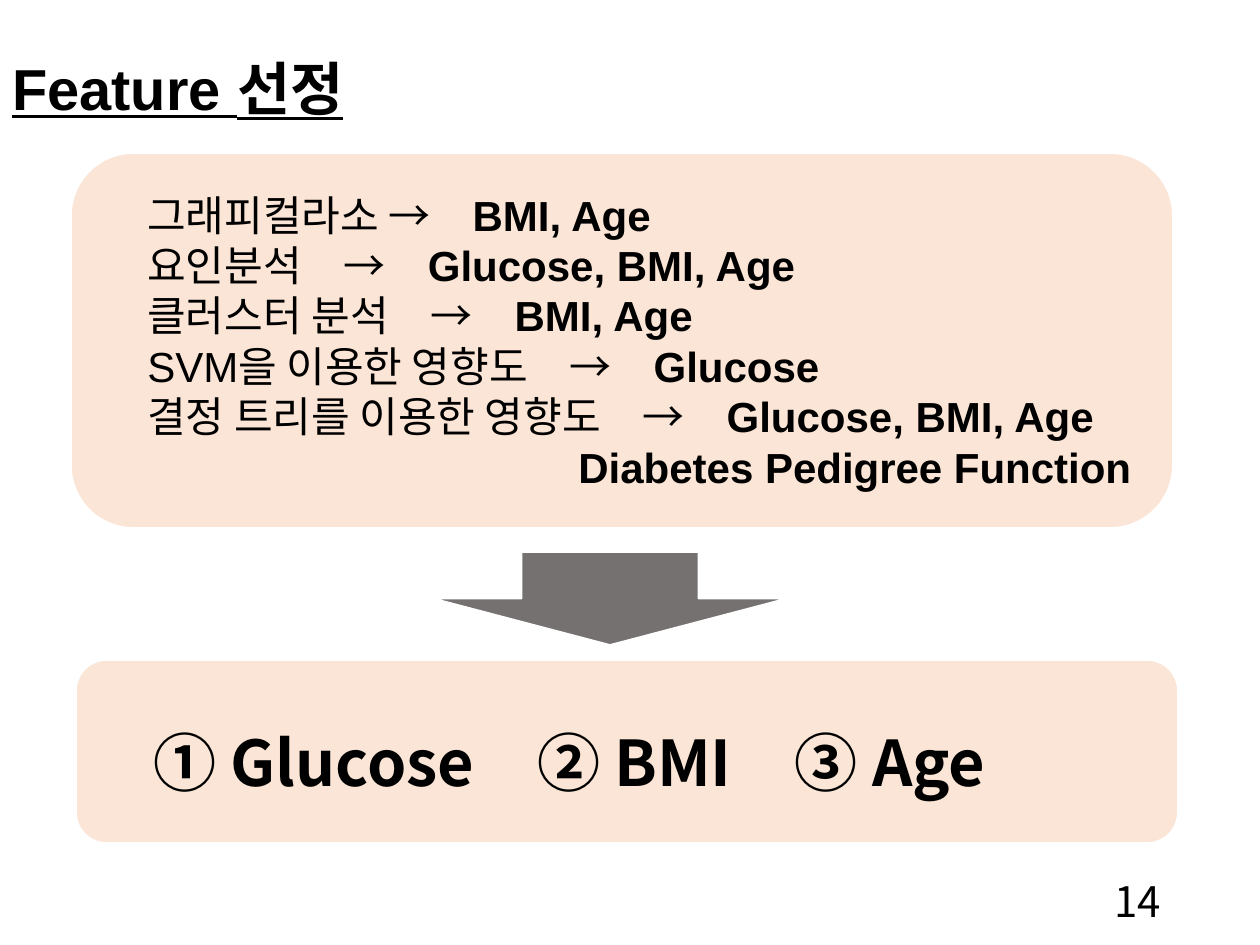
import pptx
import pptx.util
from pptx.dml.color import RGBColor
from pptx.enum.shapes import MSO_SHAPE
from pptx.enum.text import MSO_ANCHOR, PP_ALIGN
from pptx.oxml.ns import qn

PX = 914400 // 126
BLACK = RGBColor(0x00, 0x00, 0x00)
WHITE = RGBColor(0xFF, 0xFF, 0xFF)
PEACH = RGBColor(0xFB, 0xE5, 0xD6)
GRAY = RGBColor(0x76, 0x71, 0x71)
LATIN = "Arial"
CJK = "Noto Sans CJK JP"

TITLE = "Feature 선정"
METHODS = [
    ("그래피컬라소 →　", "BMI, Age"),
    ("요인분석　→　", "BMI, Age".join(["Glucose, ", ""])),
    ("클러스터 분석　→　", "BMI, Age"),
    ("SVM을 이용한 영향도　→　", "Glucose"),
    ("결정 트리를 이용한 영향도　→　", "Glucose, BMI, Age"),
    ("", "Diabetes Pedigree Function"),
]
METHODS[1] = ("요인분석　→　", "Glucose, BMI, Age")
CONTINUED_INDENT = 431
RANKING = "① Glucose　② BMI　③ Age"
PAGE = "14"


def add_block(shapes, kind, box, fill):
    sp = shapes.add_shape(kind, *(v * PX for v in box))
    sp.shadow.inherit = False
    sp.fill.solid()
    sp.fill.fore_color.rgb = fill
    sp.line.color.rgb = WHITE
    sp.line.width = pptx.util.Pt(1)


def add_frame(shapes, box, anchor=MSO_ANCHOR.TOP):
    tf = shapes.add_textbox(*(v * PX for v in box)).text_frame
    tf.word_wrap = True
    tf.vertical_anchor = anchor
    return tf


def add_run(p, text, size, font, bold=False):
    r = p.add_run()
    r.text = text
    r.font.size = pptx.util.Pt(size)
    r.font.name = font
    r.font.bold = bold
    r.font.color.rgb = BLACK
    ea = r.font._element.makeelement(qn("a:ea"), {"typeface": CJK})
    r.font._element.find(qn("a:latin")).addnext(ea)
    return r


def main():
    prs = pptx.Presentation()
    prs.slide_width = 1260 * PX
    prs.slide_height = 945 * PX
    s = prs.slides.add_slide(prs.slide_layouts[6])

    p = add_frame(s.shapes, (0, 0, 1086, 183), MSO_ANCHOR.MIDDLE).paragraphs[0]
    p.line_spacing = 0.9
    add_run(p, TITLE, 33, LATIN, True).font.underline = True

    p = add_frame(s.shapes, (890, 876, 283, 50), MSO_ANCHOR.MIDDLE).paragraphs[0]
    p.alignment = PP_ALIGN.RIGHT
    add_run(p, PAGE, 24, CJK)

    group = s.shapes.add_group_shape()
    add_block(group.shapes, MSO_SHAPE.ROUNDED_RECTANGLE, (71, 153, 1102, 375), PEACH)
    tf = add_frame(group.shapes, (135, 183, 1043, 407))
    for i, (method, features) in enumerate(METHODS):
        p = tf.add_paragraph() if i else tf.paragraphs[0]
        if method:
            add_run(p, method, 24, LATIN)
        else:
            p._p.get_or_add_pPr().set("marL", str(CONTINUED_INDENT * PX))
        add_run(p, features, 24, LATIN, True)

    add_block(s.shapes, MSO_SHAPE.DOWN_ARROW, (433, 552, 354, 93), GRAY)
    add_block(s.shapes, MSO_SHAPE.ROUNDED_RECTANGLE, (76, 660, 1102, 183), PEACH)
    p = add_frame(s.shapes, (141, 717, 1016, 127)).paragraphs[0]
    add_run(p, RANKING, 36, CJK, True)

    prs.save("out.pptx")


if __name__ == "__main__":
    main()
